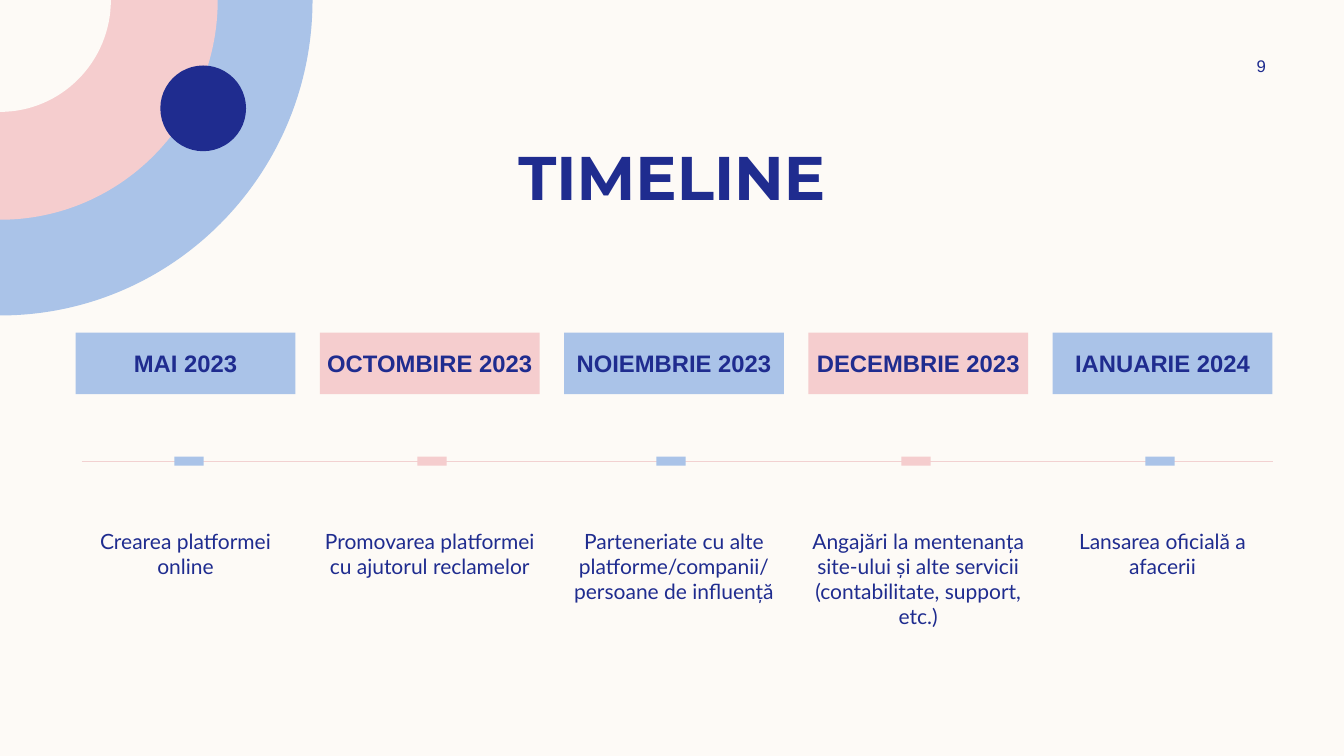
from dataclasses import dataclass

from lxml.etree import SubElement
from pptx import Presentation
from pptx.dml.color import RGBColor
from pptx.enum.shapes import MSO_CONNECTOR as Connector, MSO_SHAPE as Shape
from pptx.enum.text import MSO_ANCHOR as Anchor, PP_ALIGN as Align
from pptx.oxml.ns import qn
from pptx.util import Inches, Pt


@dataclass(frozen=True)
class Theme:
    cream: str = "FDFAF6"
    blue: str = "AAC3E8"
    pink: str = "F5CDCE"
    navy: str = "1F2C8F"
    rule: str = "F2D1D1"
    title_font: str = "Montserrat"
    label_font: str = "Arial"
    body_font: str = "Lato"
    title_size: int = 44
    date_size: int = 17
    body_size: int = 15
    number_size: int = 12


# Date, milestone, marker left, text height
MILESTONES = [
    ("MAI 2023", "Crearea platformei online", 1.73, 0.87),
    ("OCTOMBIRE 2023", "Promovarea platformei cu ajutorul reclamelor", 4.14, 0.87),
    ("NOIEMBRIE 2023",
     "Parteneriate cu alte platforme/companii/ persoane de influență", 6.51, 0.87),
    ("DECEMBRIE 2023",
     "Angajări la mentenanța site-ului și alte servicii (contabilitate, support, etc.)",
     8.94, 1.24),
    ("IANUARIE 2024", "Lansarea oficială a afacerii", 11.36, 0.87),
]


def inches(*lengths):
    return [Inches(length) for length in lengths]


def write(shape, text, *, font, size, color, bold=False,
          anchor=Anchor.MIDDLE, margins=(0.1, 0.05)):
    """Put one centred paragraph in a shape; margins are (sides, top and bottom)."""
    frame = shape.text_frame
    frame.word_wrap = True
    frame.vertical_anchor = anchor
    frame.margin_left = frame.margin_right = Inches(margins[0])
    frame.margin_top = frame.margin_bottom = Inches(margins[1])
    para = frame.paragraphs[0]
    para.alignment = Align.CENTER
    para.line_spacing = 1.0
    span = para.add_run()
    span.text = text
    span.font.name = font
    span.font.size = Pt(size)
    span.font.bold = bold
    span.font.color.rgb = RGBColor.from_string(color)


def bend_to_quarter(segment, width, height):
    """Turn a straight segment from (width, 0) to (0, height) into an elliptic arc."""
    pull = 0.5523
    segment.tag = qn("a:cubicBezTo")
    controls = [(width, height * pull), (width * pull, height)]
    for index, (x, y) in enumerate(controls):
        point = SubElement(segment, qn("a:pt"), x=str(Inches(x)), y=str(Inches(y)))
        segment.insert(index, point)


class SlideBuilder:
    def __init__(self, page, theme):
        self.page = page
        self.theme = theme
        page.background.fill.solid()
        page.background.fill.fore_color.rgb = RGBColor.from_string(theme.cream)

    def paint(self, shape, color):
        shape.shadow.inherit = False
        shape.fill.solid()
        shape.fill.fore_color.rgb = RGBColor.from_string(color)
        shape.line.fill.background()
        return shape

    def title(self, text, *place):
        box = self.page.shapes.title
        box.left, box.top, box.width, box.height = inches(*place)
        write(box, text, font=self.theme.title_font, size=self.theme.title_size,
              color=self.theme.navy, bold=True)

    def text(self, text, *place, **style):
        box = self.page.shapes.add_textbox(*inches(*place))
        write(box, text, color=self.theme.navy, **style)

    def shape(self, kind, color, *place):
        return self.paint(self.page.shapes.add_shape(kind, *inches(*place)), color)

    def quarter_disc(self, width, height, color):
        """Draw a quarter of an ellipse centred on the top left corner."""
        outline = self.page.shapes.build_freeform(Inches(width), 0)
        outline.add_line_segments([inches(0, height), (0, 0)], close=True)
        disc = self.paint(outline.convert_to_shape(), color)
        bend_to_quarter(next(disc._element.iter(qn("a:lnTo"))), width, height)

    def line(self, color, *ends):
        line = self.page.shapes.add_connector(Connector.STRAIGHT, *inches(*ends))
        line.line.color.rgb = RGBColor.from_string(color)
        line.line.width = Pt(1)
        SubElement(line._element.spPr, qn("a:effectLst"))


def main():
    theme = Theme()
    deck = Presentation()
    deck.slide_width, deck.slide_height = inches(13.33, 7.5)
    slide = SlideBuilder(deck.slides.add_slide(deck.slide_layouts[5]), theme)

    for width, height, color in [(3.1, 3.13, theme.blue), (2.16, 2.18, theme.pink),
                                 (1.1, 1.11, theme.cream)]:
        slide.quarter_disc(width, height, color)
    slide.shape(Shape.OVAL, theme.navy, 1.59, 0.65, 0.85, 0.85)
    slide.line(theme.rule, 0.81, 4.58, 12.63, 4.58)

    slide.title("TIMELINE", 0.83, 1.32, 11.67, 0.84)
    slide.text("9", 11.97, 0.5, 1.08, 0.3, font=theme.label_font, size=theme.number_size)

    first_left, last_left, column_width = 0.75, 10.44, 2.18
    column_step = (last_left - first_left) / (len(MILESTONES) - 1)
    for index, (date, milestone, marker_left, text_height) in enumerate(MILESTONES):
        left = first_left + index * column_step
        color = (theme.blue, theme.pink)[index % 2]
        card = slide.shape(Shape.RECTANGLE, color, left, 3.3, column_width, 0.61)
        write(card, date, font=theme.label_font, size=theme.date_size,
              color=theme.navy, bold=True, margins=(0, 0))
        slide.shape(Shape.RECTANGLE, color, marker_left, 4.53, 0.29, 0.09)
        slide.text(milestone, left, 5.19, column_width, text_height,
                   font=theme.body_font, size=theme.body_size,
                   anchor=Anchor.TOP, margins=(0, 0.05))

    deck.save("out.pptx")


if __name__ == "__main__":
    main()
